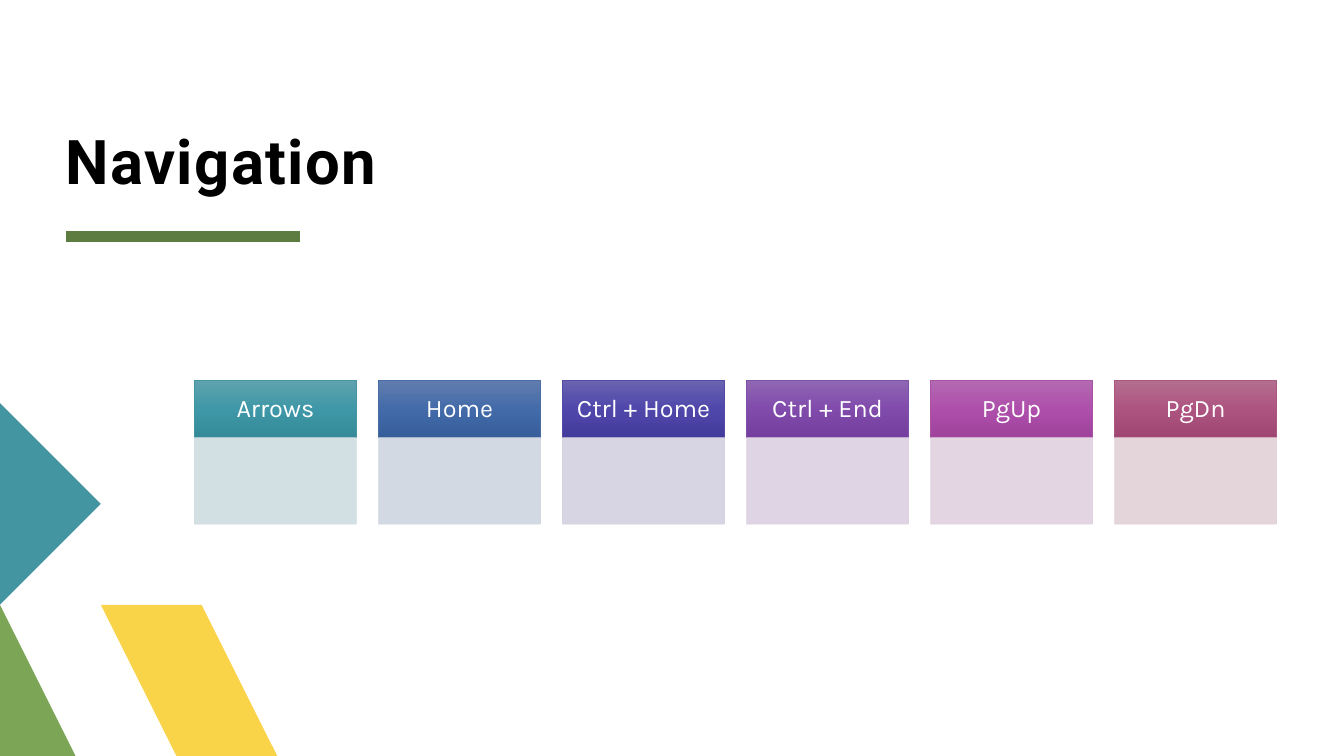
from copy import deepcopy

from lxml import etree
from pptx import Presentation
from pptx import util as u
from pptx.dml.color import RGBColor
from pptx.enum import shapes, text
from pptx.oxml import ns

WIDTH, HEIGHT = 13.33, 7.5
MARGIN = 0.65
COLORS = {
    "title": "000000", "header_text": "FFFFFF", "rule": "5D7D40",
    "yellow": "F9D448", "green": "7CA655", "teal": "4495A2",
}
KEYS = [
    ("Arrows", ("60A2AE", "3F98A7", "348A98"), "4495A2", "CFDDE0"),
    ("Home", ("627DAF", "436BA9", "375E9A"), "486CA4", "CFD5E0"),
    ("Ctrl + Home", ("6A64B1", "4F47AA", "433B9B"), "534BA6", "D3D0E1"),
    ("Ctrl + End", ("8F67B3", "814BAC", "733E9D"), "804FA8", "DBD0E1"),
    ("PgUp", ("B46AB1", "AE4FAB", "9E429C"), "A953A7", "E2D1E0"),
    ("PgDn", ("B36F8F", "AE5481", "9F4673"), "AA5881", "E2D1D8"),
]


def rgb(value):
    """Turn a hex string into a colour."""
    return RGBColor.from_string(value)


def set_font(run, name, size, color, bold=False):
    """Format one run."""
    run.font.name, run.font.size, run.font.bold = name, u.Pt(size), bold
    run.font.color.rgb = rgb(color)


def set_insets(frame, horizontal, vertical):
    """Set the text margins of a frame in inches."""
    frame.margin_left = frame.margin_right = u.Inches(horizontal)
    frame.margin_top = frame.margin_bottom = u.Inches(vertical)


def add_corner(slide, left, bottom):
    """Draw the three corner pieces from the slide's bottom left corner."""
    unit = 1.06
    half = unit * 0.515
    pieces = [
        ("yellow", [(unit + 4 * half, 0), (2 * unit + 0.03, 0), (unit, 1.09), (unit + half, 1.09 + half)]),
        ("green", [(unit, 0), (0, 0), (0, unit)]),
        ("teal", [(0, 1.11), (unit, 1.11 + unit), (0, 1.11 + 2 * unit)]),
    ]
    for color, offsets in pieces:
        points = [(left + x, bottom - y) for x, y in offsets]
        builder = slide.shapes.build_freeform(*points[0], scale=u.Inches(1))
        builder.add_line_segments(points[1:], close=True)
        piece = builder.convert_to_shape()
        piece.shadow.inherit = False
        piece.fill.solid()
        piece.fill.fore_color.rgb = rgb(COLORS[color])
        piece.line.fill.background()


def add_heading(slide, left, top, width, height):
    """Place the title and the rule below it."""
    title = slide.shapes.title
    title.left, title.top, title.width, title.height = map(u.Inches, (left, top, width, height))
    frame = title.text_frame
    frame.text = "Navigation"
    frame.auto_size = text.MSO_AUTO_SIZE.NONE
    frame.vertical_anchor = text.MSO_ANCHOR.BOTTOM
    set_insets(frame, 0, 0)
    paragraph = frame.paragraphs[0]
    paragraph.alignment = text.PP_ALIGN.LEFT
    paragraph.line_spacing = 0.8
    run = paragraph.runs[0]
    set_font(run, "Roboto", 44, COLORS["title"], bold=True)
    run.font._element.set("spc", "100")

    rule_top = u.Inches(top + height + 0.4)
    rule = slide.shapes.add_connector(
        shapes.MSO_CONNECTOR.STRAIGHT, u.Inches(left), rule_top, u.Inches(left + 2.33), rule_top)
    rule.line.color.rgb = rgb(COLORS["rule"])
    rule.line.width = u.Pt(8)
    etree.SubElement(rule._element.spPr, ns.qn("a:effectLst"))


def add_block(slide, left, top, width, height, line_color):
    """Add a plain rectangle with a thin outline."""
    block = slide.shapes.add_shape(
        shapes.MSO_SHAPE.RECTANGLE, *map(u.Inches, (left, top, width, height)))
    block.shadow.inherit = False
    block.line.color.rgb = rgb(line_color)
    block.line.width = u.Pt(0.5)
    return block


def fill_gradient(shape, colors):
    """Fill a shape from top to bottom with evenly spaced colours."""
    shape.fill.gradient()
    shape.fill.gradient_angle = 270
    stop_list = shape._element.spPr.find(".//" + ns.qn("a:gsLst"))
    stop_list.insert(1, deepcopy(stop_list[0]))
    for index, (stop, color) in enumerate(zip(shape.fill.gradient_stops, colors)):
        stop.position = index / (len(colors) - 1)
        stop.color.rgb = rgb(color)


def add_key(slide, left, top, width, height, key):
    """Draw one key: a gradient header above a pale panel."""
    label, gradient, outline, pale = key
    header_height = height * 0.4
    header = add_block(slide, left, top, width, header_height, outline)
    fill_gradient(header, gradient)
    frame = header.text_frame
    frame.text = label
    frame.word_wrap = True
    frame.vertical_anchor = text.MSO_ANCHOR.MIDDLE
    set_insets(frame, 0.14, 0.08)
    paragraph = frame.paragraphs[0]
    paragraph.alignment = text.PP_ALIGN.CENTER
    paragraph.line_spacing = 0.9
    set_font(paragraph.runs[0], "Karla", 18, COLORS["header_text"])

    panel = add_block(slide, left, top + header_height, width, height - header_height, pale)
    panel.fill.solid()
    panel.fill.fore_color.rgb = rgb(pale)
    for color in panel._element.spPr.iter(ns.qn("a:srgbClr")):
        etree.SubElement(color, ns.qn("a:alpha"), val="90000")


def add_keys(slide, left, top, width, height):
    """Spread the keys over equal columns."""
    gap = 0.22
    column = (width + gap) / len(KEYS)
    for index, key in enumerate(KEYS):
        add_key(slide, left + index * column, top, column - gap, height, key)


def main():
    """Build and save the slide."""
    presentation = Presentation()
    presentation.slide_width = u.Inches(WIDTH)
    presentation.slide_height = u.Inches(HEIGHT)
    slide = presentation.slides.add_slide(presentation.slide_layouts[5])
    add_corner(slide, 0, HEIGHT)
    add_heading(slide, MARGIN, 0.11, WIDTH - 2 * MARGIN - 0.14, 1.84)
    add_keys(slide, 1.93, 3.77, 10.73, 1.43)
    presentation.save("out.pptx")


if __name__ == "__main__":
    main()
